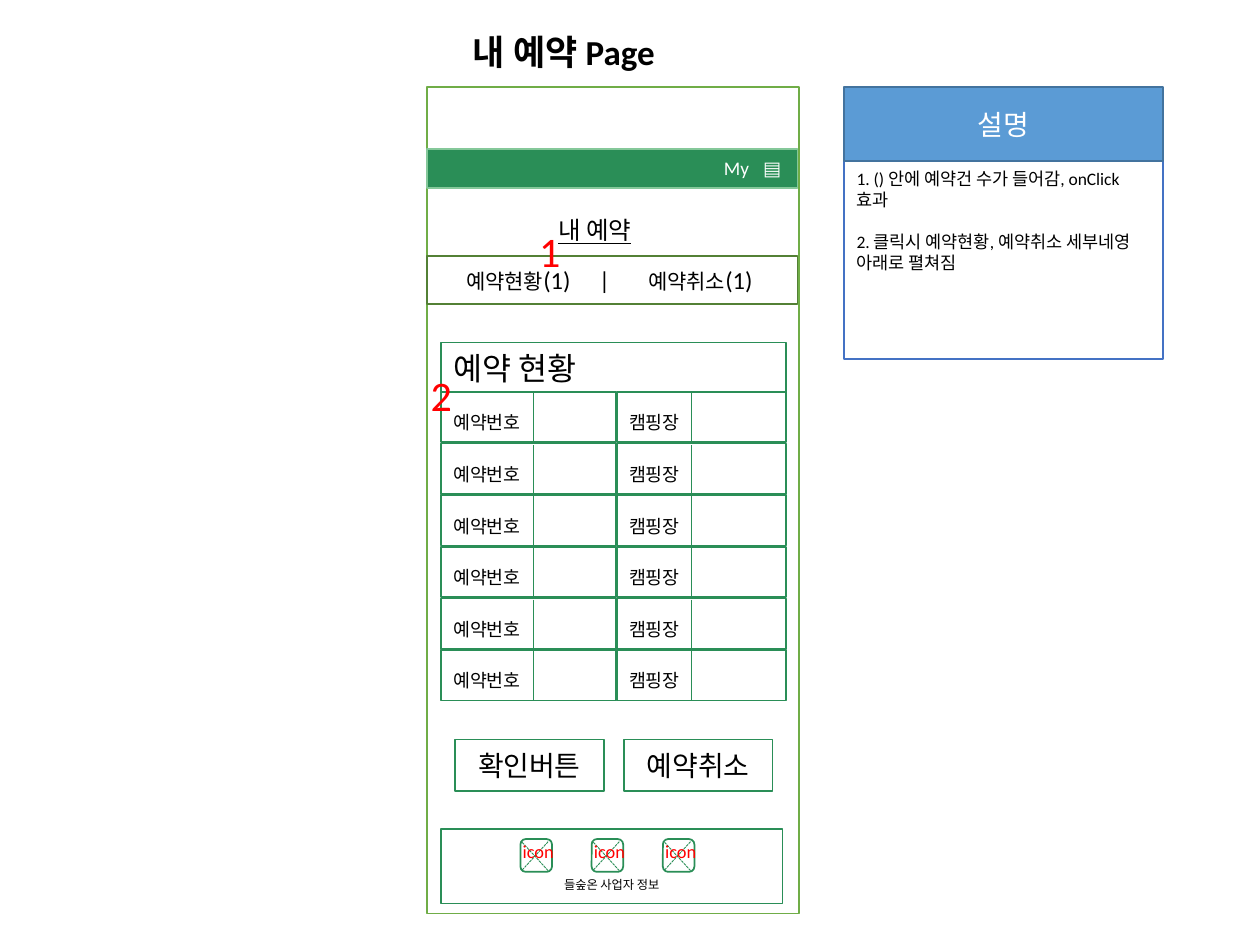
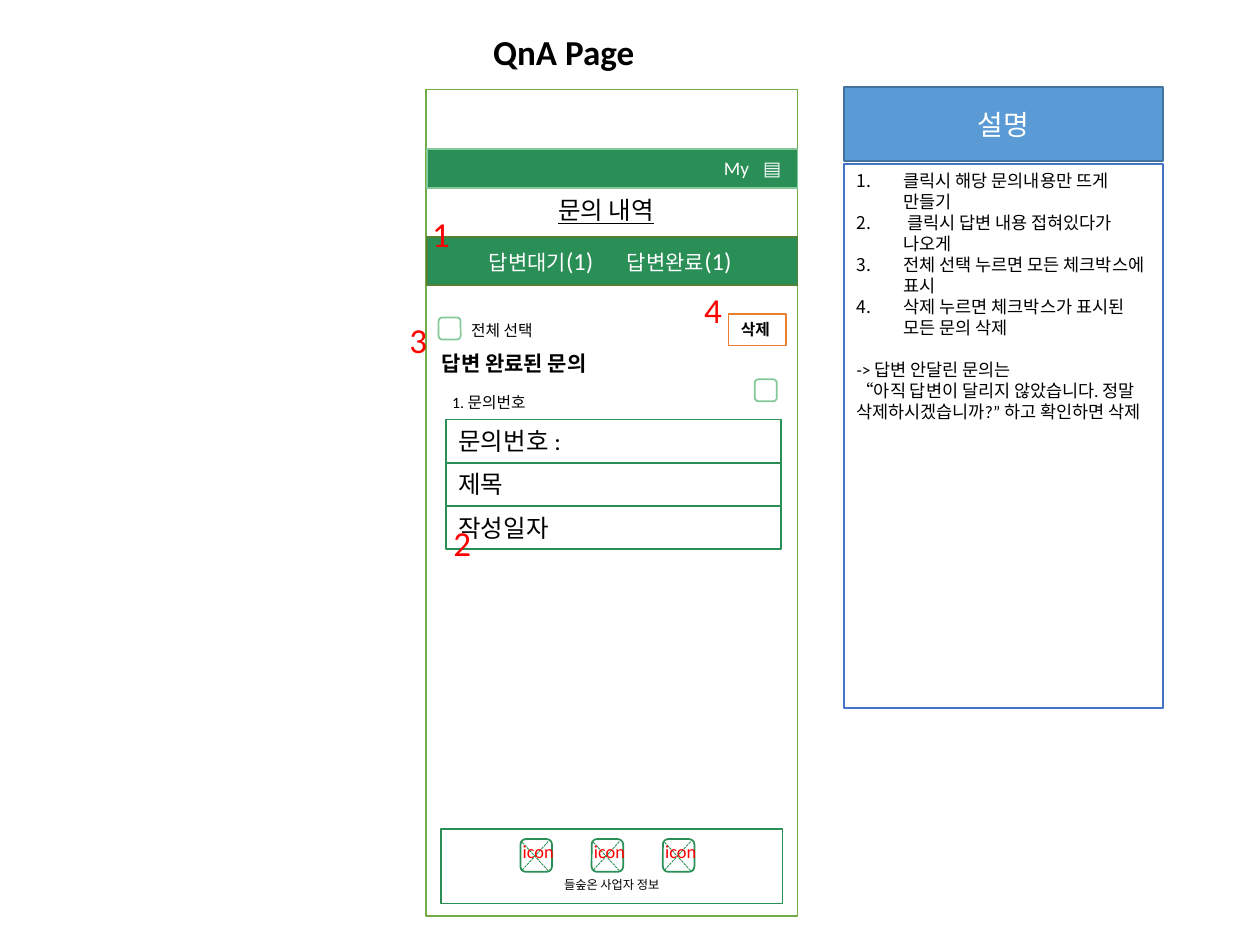
import pptx
import pptx.util
import pptx.dml.color
import pptx.enum.dml
import pptx.enum.shapes
import pptx.enum.text
import pptx.oxml

Pt = pptx.util.Pt
SHAPE = pptx.enum.shapes.MSO_SHAPE
ANCHOR = pptx.enum.text.MSO_ANCHOR
ALIGN = pptx.enum.text.PP_ALIGN

FONT = "Calibri"
COLORS = {
    "black": "000000", "white": "FFFFFF", "red": "FF0000", "green": "2A8E57",
    "mint": "85C89A", "leaf": "70AD47", "olive": "538035", "blue": "5B9BD5",
    "navy": "43739E", "indigo": "4472C4", "orange": "ED7D31",
}

RESERVATION = {
    "title": "내 예약 Page",
    "phone": (244, 49.7, 212.4, 472.3),
    "notes_box": (482.4, 92.2, 182.2, 113),
    "notes": ["1. () 안에 예약건 수가 들어감, onClick효과",
              "2. 클릭시 예약현황, 예약취소 세부네영 아래로 펼쳐짐"],
    "numbered": 0, "gap_before": 1,
    "heading": "내 예약", "heading_box": (311.8, 119.5, 59.8, 24.5),
    "tabs": [("예약현황", 12), ("(1)\t|\t", 14), ("예약취소", 12), ("(1)", 14)],
    "tabs_top": 146.2, "tabs_indent": 22.3, "tab_stops": [76, 104],
    "tabs_fill": None, "tabs_color": "black",
    "markers": [("1", 301, 125.3), ("2", 239, 207.4)], "marker_size": 24,
}
QNA = {
    "title": "QnA Page",
    "phone": (243.4, 51.1, 212.4, 472.3),
    "notes_box": (482.4, 93.6, 182.2, 311),
    "notes": ["클릭시 해당 문의내용만 뜨게 만들기",
              " 클릭시 답변 내용 접혀있다가 나오게",
              "전체 선택 누르면 모든 체크박스에 표시",
              "삭제 누르면 체크박스가 표시된 모든 문의 삭제",
              "-> 답변 안달린 문의는",
              "“아직 답변이 달리지 않았습니다. 정말 삭제하시겠습니까?” 하고 확인하면 삭제"],
    "numbered": 4, "gap_before": 4,
    "heading": "문의 내역", "heading_box": (311.8, 108, 74.2, 24.5),
    "tabs": [("답변대기", 12), ("(1)\t", 14), ("답변완료", 12), ("(1)", 14)],
    "tabs_top": 135.4, "tabs_indent": 35.3, "tab_stops": [79],
    "tabs_fill": "green", "tabs_color": "white",
    "markers": [("1", 239.8, 118.1), ("2", 252, 294.5),
                ("3", 226.8, 178.6), ("4", 395.3, 161.3)], "marker_size": 20,
}
BOOKING_COLUMNS = [("예약번호", 252, 100.2, 304.6), ("캠핑장", 352.4, 96.7, 395.3)]
BOOKING_ROWS = 6
BUTTONS = ["확인버튼", "예약취소"]
QUESTION_FIELDS = ["문의번호 :", "제목", "작성일자"]
QUESTION_LABELS = [
    ("답변 완료된 문의", (245.5, 196.6, 105, 21.6), 12, True),
    ("전체 선택", (262.1, 180, 52.6, 18), 9, False),
    ("1. 문의번호", (251.3, 221, 62, 18), 9, False),
]
CHECKBOXES = [(250.6, 181.4), (431.3, 216.7)]
ICON_COUNT = 3


def rgb(name):
    return pptx.dml.color.RGBColor.from_string(COLORS[name])


def write(shape, content, size=10, color="black", bold=None, underline=None,
          align=ALIGN.LEFT, anchor=ANCHOR.TOP, wrap=True,
          insets=(7.2, 3.6, 7.2, 3.6)):
    frame = shape.text_frame
    frame.auto_size = pptx.enum.text.MSO_AUTO_SIZE.NONE
    frame.word_wrap = wrap
    frame.vertical_anchor = anchor
    frame.margin_left, frame.margin_top, frame.margin_right, frame.margin_bottom = map(Pt, insets)
    paragraphs = [content] if isinstance(content, str) else content
    for index, runs in enumerate(paragraphs):
        paragraph = frame.add_paragraph() if index else frame.paragraphs[0]
        paragraph.alignment = align
        for text, run_size in [(runs, size)] if isinstance(runs, str) else runs:
            run = paragraph.add_run()
            run.text = text
            run.font.name = FONT
            run.font.size = Pt(run_size)
            run.font.bold = bold
            run.font.underline = underline
            run.font.color.rgb = rgb(color)
    return frame


def add_box(slide, box, content=None, fill=None, line="green", kind=SHAPE.RECTANGLE, **text_format):
    shape = slide.shapes.add_shape(kind, *map(Pt, box))
    shape.shadow.inherit = False
    if fill:
        shape.fill.solid()
        shape.fill.fore_color.rgb = rgb(fill)
    else:
        shape.fill.background()
    shape.line.color.rgb = rgb(line)
    shape.line.width = Pt(1)
    if content:
        write(shape, content, **text_format)
    return shape


def add_centered(slide, box, content, **options):
    return add_box(slide, box, content, align=ALIGN.CENTER, anchor=ANCHOR.MIDDLE, **options)


def add_label(slide, box, content, **text_format):
    return write(slide.shapes.add_textbox(*map(Pt, box)), content, **text_format)


def add_line(slide, start, end, dashed=False):
    connector = slide.shapes.add_connector(
        pptx.enum.shapes.MSO_CONNECTOR.STRAIGHT, *map(Pt, start + end))
    connector.line.color.rgb = rgb("green")
    connector.line.width = Pt(0.5)
    if dashed:
        connector.line.dash_style = pptx.enum.dml.MSO_LINE.SQUARE_DOT
    properties = connector.element.spPr
    properties.append(properties.makeelement(pptx.oxml.ns.qn("a:effectLst"), {}))


def add_child(parent, tag, **attributes):
    child = parent.makeelement(pptx.oxml.ns.qn(tag), attributes)
    parent.append(child)
    return child


def add_notes(slide, page):
    frame = write(add_box(slide, page["notes_box"], fill="white", line="indigo"), page["notes"])
    for paragraph in frame.paragraphs[:page["numbered"]]:
        properties = paragraph._p.get_or_add_pPr()
        properties.set("marL", str(Pt(27)))
        properties.set("indent", str(Pt(-27)))
        add_child(properties, "a:buAutoNum", type="arabicPeriod")
    frame.paragraphs[page["gap_before"]].space_before = Pt(12)
    add_centered(slide, (482.4, 49.7, 182.2, 42.5), "설명",
                 fill="blue", line="navy", size=16, color="white")


def add_tab_bar(slide, page):
    bar = add_box(slide, (244, page["tabs_top"], 211.7, 27.4), [page["tabs"]],
                  fill=page["tabs_fill"], line="olive", color=page["tabs_color"],
                  anchor=ANCHOR.MIDDLE, insets=(page["tabs_indent"], 3.6, 0, 3.6))
    properties = bar.text_frame.paragraphs[0]._p.get_or_add_pPr()
    stops = add_child(properties, "a:tabLst")
    for position in page["tab_stops"]:
        add_child(stops, "a:tab", pos=str(Pt(position)), algn="l")


def add_footer(slide):
    add_box(slide, (252, 473.8, 195.1, 42.5), "들숲온 사업자 정보", fill="white",
            size=7, align=ALIGN.CENTER, insets=(7.2, 27.5, 7.2, 0))
    for index in range(ICON_COUNT):
        left = 297.4 + index * 40.7
        add_box(slide, (left, 479.5, 18, 18.7), fill="white", kind=SHAPE.ROUNDED_RECTANGLE)
        add_line(slide, (left + 15.8, 497.5), (left + 0.7, 481), dashed=True)
        add_line(slide, (left + 15.8, 481), (left + 0.7, 497.5), dashed=True)
        add_label(slide, (left - 5.8, 476.6, 35.3, 21.6), "icon", size=10.5, color="red")


def add_page(presentation, page, add_body):
    slide = presentation.slides.add_slide(presentation.slide_layouts[5])
    title = slide.shapes.title
    title.left, title.top, title.width, title.height = map(Pt, (172.8, 13.7, 298.8, 31.7))
    write(title, page["title"], size=20, bold=True, align=ALIGN.CENTER)
    add_box(slide, page["phone"], fill="white", line="leaf")
    add_notes(slide, page)
    add_box(slide, (244, 85, 211.7, 22.3), fill="green", line="mint")
    for text, left, width in [("My", 404, 33.8), ("▤", 429.8, 23)]:
        add_centered(slide, (left, 86.4, width, 18.7), text, size=11, color="white",
                     wrap=False)
    add_label(slide, page["heading_box"], page["heading"], size=14, underline=True, wrap=False)
    add_tab_bar(slide, page)
    add_body(slide)
    add_footer(slide)
    for text, left, top in page["markers"]:
        add_label(slide, (left, top, 38.2, 36), text, size=page["marker_size"], color="red")


def add_reservation_body(slide):
    add_box(slide, (252, 195.8, 197.1, 28.8), "예약 현황", fill="white", size=18)
    for row in range(BOOKING_ROWS):
        top = 224 + row * 29.5
        for text, left, width, divider in BOOKING_COLUMNS:
            add_box(slide, (left, top, width, 28.8), text, fill="white", size=10.5,
                    anchor=ANCHOR.MIDDLE, insets=(7.2, 7, 7.2, 1))
            add_line(slide, (divider, top + 0.7), (divider, top + 28.8))
    for index, text in enumerate(BUTTONS):
        add_centered(slide, (260 + index * 96.5, 422.6, 85, 29.5), text, size=16)


def add_qna_body(slide):
    for index, text in enumerate(QUESTION_FIELDS):
        add_box(slide, (254.9, 239.8 + index * 24.8, 191.5, 24.5), text, size=14)
    for text, box, size, bold in QUESTION_LABELS:
        add_label(slide, box, text, size=size, bold=bold, wrap=False)
    for left, top in CHECKBOXES:
        add_box(slide, (left, top, 12.6, 12.6), fill="white", line="mint",
                kind=SHAPE.ROUNDED_RECTANGLE)
    add_box(slide, (416.2, 179.3, 32.8, 18.2), "삭제", fill="white", line="orange",
            size=9, bold=True, wrap=False)


def main():
    presentation = pptx.Presentation()
    presentation.slide_width = Pt(720)
    presentation.slide_height = Pt(540)
    add_page(presentation, RESERVATION, add_reservation_body)
    add_page(presentation, QNA, add_qna_body)
    presentation.save("out.pptx")


if __name__ == "__main__":
    main()
